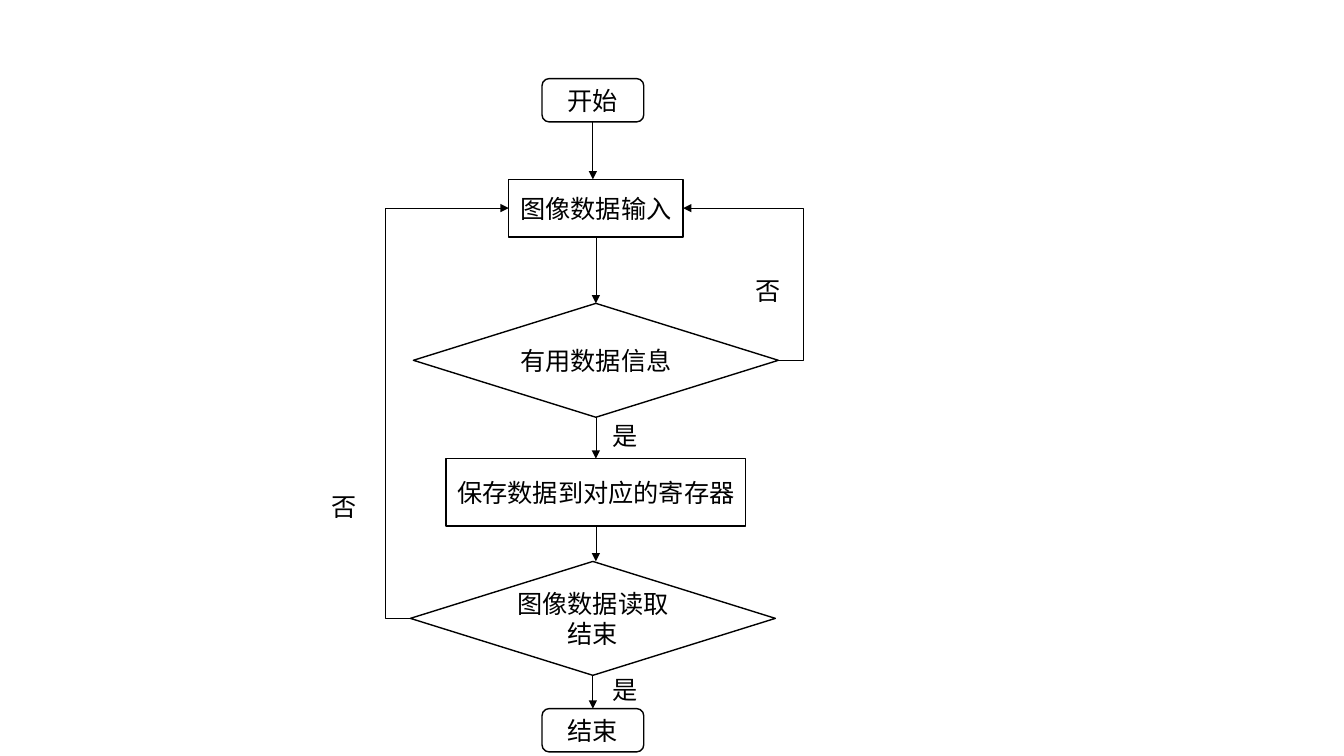
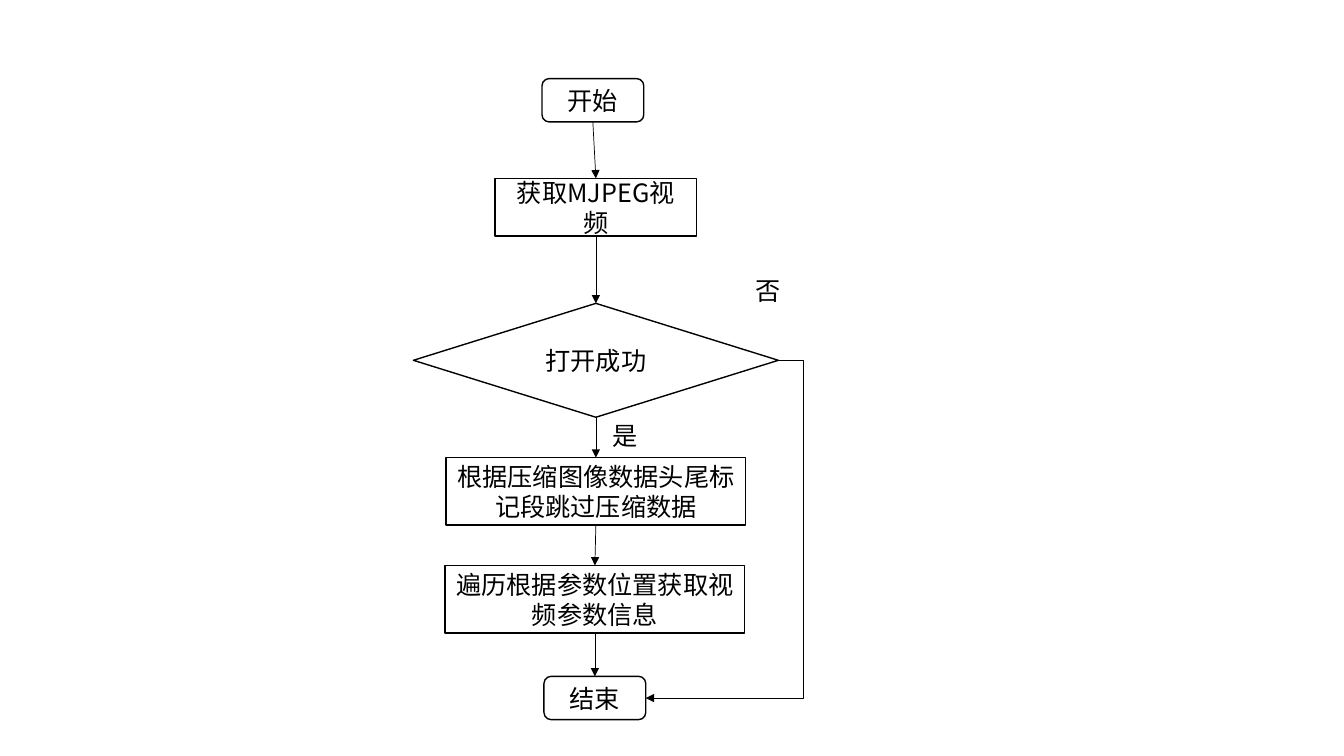
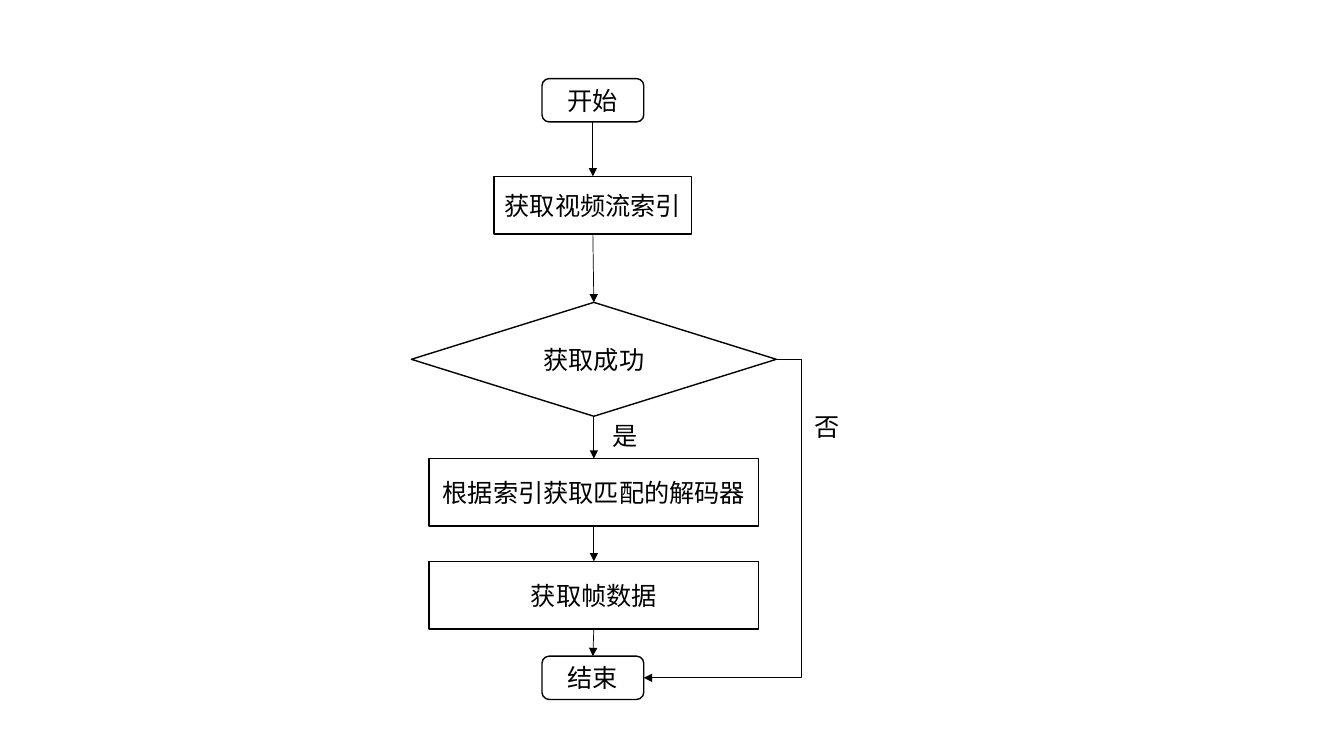
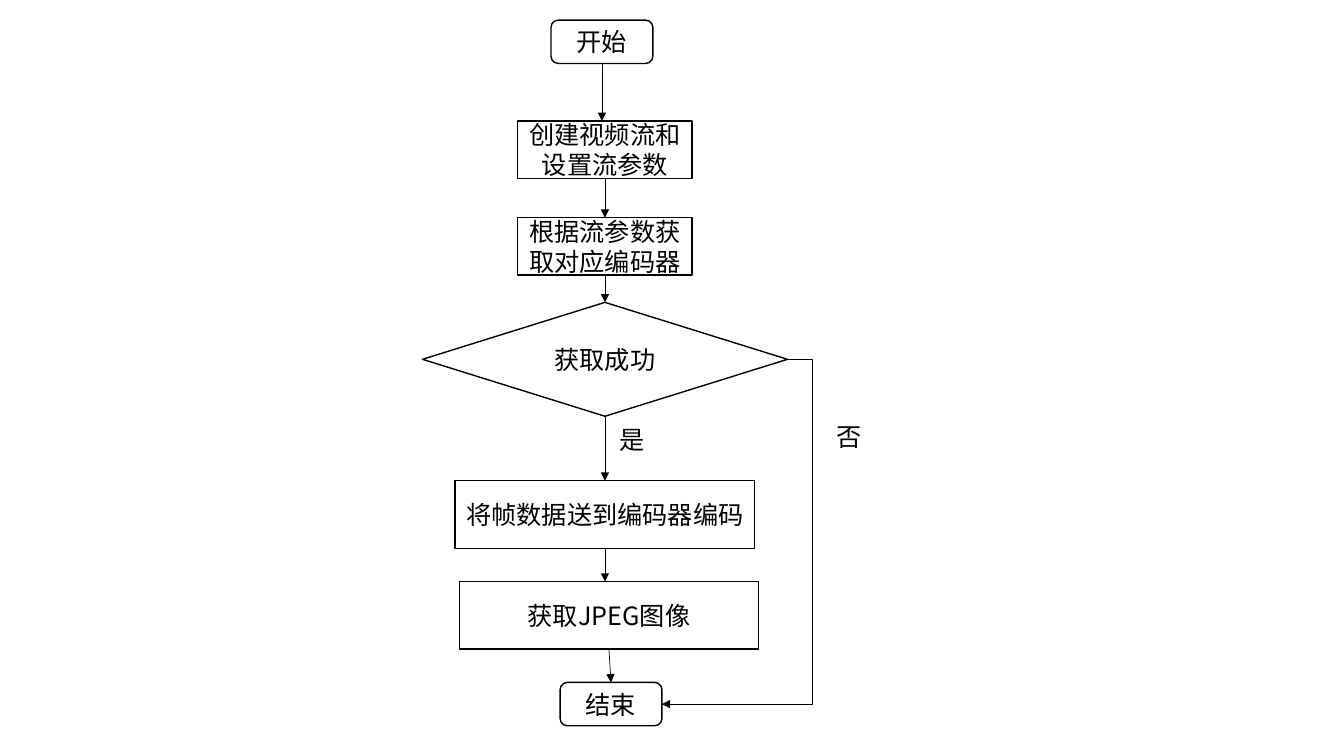
from lxml.etree import SubElement
from pptx import Presentation
from pptx.dml.color import RGBColor
from pptx.enum.shapes import MSO_CONNECTOR, MSO_SHAPE
from pptx.enum.text import MSO_ANCHOR, MSO_AUTO_SIZE, PP_ALIGN
from pptx.oxml.ns import qn
from pptx.util import Pt

TERMINAL = MSO_SHAPE.FLOWCHART_ALTERNATE_PROCESS
PROCESS = MSO_SHAPE.FLOWCHART_PROCESS
DECISION = MSO_SHAPE.FLOWCHART_DECISION
STRAIGHT = MSO_CONNECTOR.STRAIGHT
ELBOW = MSO_CONNECTOR.ELBOW
MIDDLE = MSO_ANCHOR.MIDDLE
CENTER = PP_ALIGN.CENTER
GROW = MSO_AUTO_SIZE.SHAPE_TO_FIT_TEXT

EMU_PER_PX = 9144
TOP, LEFT, BOTTOM, RIGHT = range(4)
COLORS = {"ink": "000000"}


def emu(px):
    return round(px * EMU_PER_PX)


class Flowchart:
    font = "Noto Sans CJK SC"
    size = Pt(18)
    outline = Pt(1)
    wire = Pt(0.5)
    detour = 25

    def __init__(self, prs):
        self.prs = prs
        self.ink = RGBColor.from_string(COLORS["ink"])
        self.s = None

    def new_slide(self):
        self.s = self.prs.slides.add_slide(self.prs.slide_layouts[6])

    def add_text(self, p, text):
        r = p.add_run()
        r.text = text
        r.font.size = self.size
        r.font.color.rgb = self.ink
        r.font.name = self.font
        SubElement(r._r.get_or_add_rPr(), qn("a:ea"), typeface=self.font)

    def node(self, kind, cx, y, w, h, text):
        sp = self.s.shapes.add_shape(kind, emu(cx - w / 2), emu(y), emu(w), emu(h))
        sp.shadow.inherit = False
        sp.fill.background()
        sp.line.color.rgb = self.ink
        sp.line.width = self.outline
        tf = sp.text_frame
        tf.word_wrap = True
        tf.vertical_anchor = MIDDLE
        p = tf.paragraphs[0]
        p.alignment = CENTER
        self.add_text(p, text)
        return sp

    def terminal(self, cx, y, text):
        return self.node(TERMINAL, cx, y, 101, 43, text)

    def process(self, cx, y, w, h, text):
        return self.node(PROCESS, cx, y, w, h, text)

    def decision(self, cx, y, text):
        return self.node(DECISION, cx, y, 362, 113, text)

    def label(self, x, y, text):
        sp = self.s.shapes.add_textbox(emu(x), emu(y), emu(91), emu(40))
        tf = sp.text_frame
        tf.word_wrap = True
        tf.auto_size = GROW
        self.add_text(tf.paragraphs[0], text)

    def connector(self, kind):
        cxn = self.s.shapes.add_connector(kind, 0, 0, 0, 0)
        cxn.line.color.rgb = self.ink
        cxn.line.width = self.wire
        spPr = cxn._element.spPr
        SubElement(spPr.get_or_add_ln(), qn("a:tailEnd"), type="triangle")
        SubElement(spPr, qn("a:effectLst"))
        return cxn

    def arrow(self, a, b):
        cxn = self.connector(STRAIGHT)
        cxn.begin_connect(a, BOTTOM)
        cxn.end_connect(b, TOP)

    def plumb_arrow(self, a, b):
        cxn = self.connector(STRAIGHT)
        cxn.begin_connect(a, BOTTOM)
        cxn.end_x, cxn.end_y = cxn.begin_x, b.top

    def loop(self, a, b, side):
        cxn = self.connector(ELBOW)
        cxn.begin_connect(a, side)
        cxn.end_connect(b, side)
        adj = -round(emu(self.detour) / cxn.width * 100000)
        guides = cxn._element.spPr.find(qn("a:prstGeom")).find(qn("a:avLst"))
        SubElement(guides, qn("a:gd"), name="adj1", fmla=f"val {adj}")


def read_image(fc):
    fc.new_slide()
    start = fc.terminal(588, 78, "开始")
    load = fc.process(591, 178, 173, 57, "图像数据输入")
    useful = fc.decision(591, 301, "有用数据信息")
    store = fc.process(591, 455, 297, 67, "保存数据到对应的寄存器")
    done = fc.decision(588, 557, "图像数据读取结束")
    end = fc.terminal(588, 703, "结束")
    fc.plumb_arrow(start, load)
    fc.arrow(load, useful)
    fc.arrow(useful, store)
    fc.plumb_arrow(store, done)
    fc.arrow(done, end)
    fc.loop(useful, load, RIGHT)
    fc.loop(done, load, LEFT)
    fc.label(598, 412, "是")
    fc.label(739, 268, "否")
    fc.label(598, 664, "是")
    fc.label(319, 483, "否")


def read_parameters(fc):
    fc.new_slide()
    start = fc.terminal(588, 78, "开始")
    video = fc.process(591, 177, 200, 57, "获取MJPEG视频")
    opened = fc.decision(591, 301, "打开成功")
    skip = fc.process(591, 454, 297, 67, "根据压缩图像数据头尾标记段跳过压缩数据")
    scan = fc.process(590, 561, 297, 67, "遍历根据参数位置获取视频参数信息")
    end = fc.terminal(590, 671, "结束")
    steps = [start, video, opened, skip, scan, end]
    for a, b in zip(steps, steps[1:]):
        fc.arrow(a, b)
    fc.loop(opened, end, RIGHT)
    fc.label(598, 412, "是")
    fc.label(739, 268, "否")


def decode_frames(fc):
    fc.new_slide()
    start = fc.terminal(588, 78, "开始")
    index = fc.process(588, 175, 196, 57, "获取视频流索引")
    found = fc.decision(589, 300, "获取成功")
    decoder = fc.process(589, 455, 327, 67, "根据索引获取匹配的解码器")
    frame = fc.process(589, 557, 327, 67, "获取帧数据")
    end = fc.terminal(588, 651, "结束")
    steps = [start, index, found, decoder, frame, end]
    for a, b in zip(steps, steps[1:]):
        fc.arrow(a, b)
    fc.loop(found, end, RIGHT)
    fc.label(598, 412, "是")
    fc.label(798, 403, "否")


def encode_image(fc):
    fc.new_slide()
    start = fc.terminal(597, 20, "开始")
    stream = fc.process(600, 120, 173, 57, "创建视频流和设置流参数")
    encoder = fc.process(600, 216, 173, 57, "根据流参数获取对应编码器")
    found = fc.decision(600, 300, "获取成功")
    encode = fc.process(600, 477, 297, 67, "将帧数据送到编码器编码")
    image = fc.process(604, 577, 297, 67, "获取JPEG图像")
    end = fc.terminal(606, 677, "结束")
    fc.plumb_arrow(start, stream)
    fc.arrow(stream, encoder)
    fc.arrow(encoder, found)
    fc.arrow(found, encode)
    fc.plumb_arrow(encode, image)
    fc.arrow(image, end)
    fc.loop(found, end, RIGHT)
    fc.label(605, 416, "是")
    fc.label(820, 413, "否")


def main():
    prs = Presentation()
    prs.slide_width, prs.slide_height = emu(1333), emu(750)
    fc = Flowchart(prs)
    for build in (read_image, read_parameters, decode_frames, encode_image):
        build(fc)
    prs.save("out.pptx")


if __name__ == "__main__":
    main()
